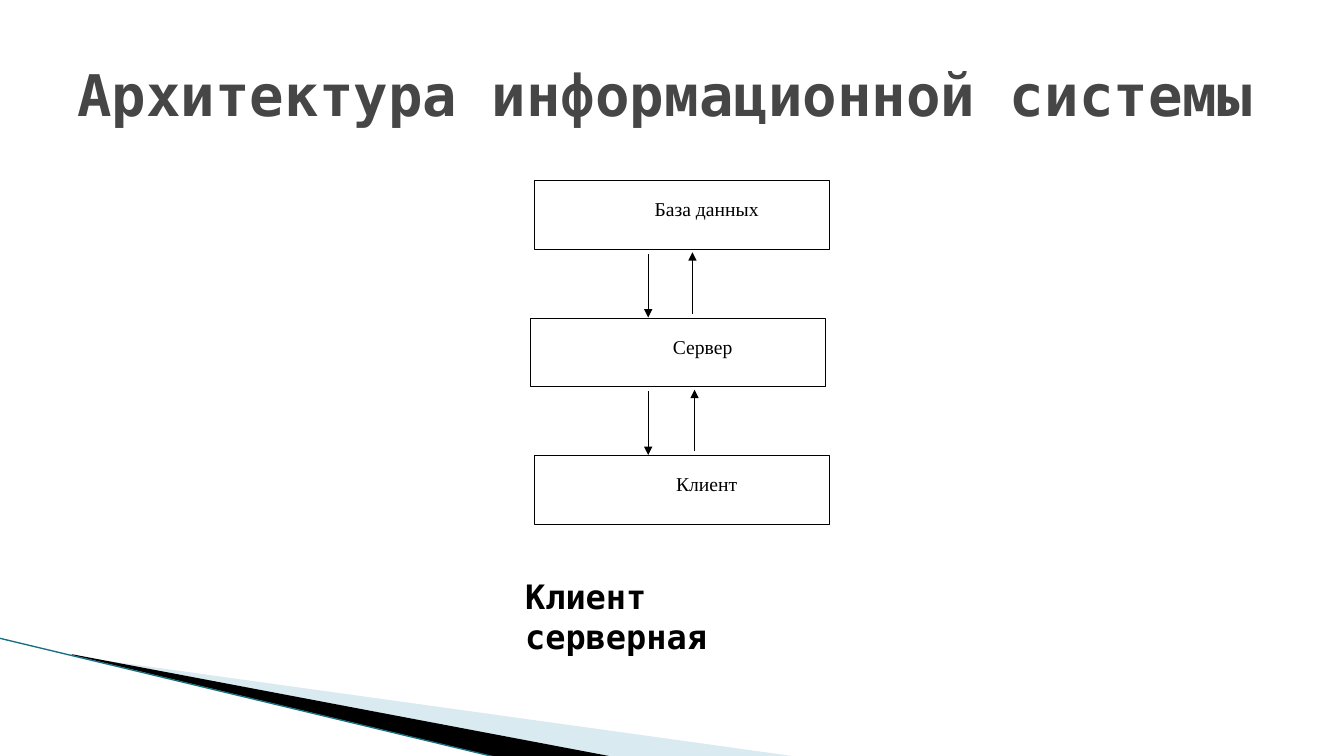
from lxml.etree import SubElement
from pptx import Presentation
from pptx.dml.color import RGBColor
from pptx.enum.shapes import MSO_CONNECTOR as Connector, MSO_SHAPE as Shape
from pptx.enum.text import MSO_ANCHOR as Anchor, PP_ALIGN as Align
from pptx.oxml.ns import qn
from pptx.util import Pt

MONO, SERIF = "DejaVu Sans Mono", "Times New Roman"
BLACK, WHITE, GREY = "000000", "FFFFFF", "464646"
TEAL, PALE_BLUE = "16707F", "A0CBDC"


def colour(value):
    return RGBColor.from_string(value)


class Diagram:
    """Draws the elements of one slide in a shared style."""

    def __init__(self, page):
        self.page = page

    def fill_text(self, frame, text, ink, font, layout):
        frame.word_wrap = True
        para = frame.paragraphs[0]
        for name, value in layout.items():
            setattr(para, name, value)
        span = para.add_run()
        span.text = text
        for name, value in font.items():
            setattr(span.font, name, value)
        span.font.color.rgb = colour(ink)
        return para

    def title(self, text, left, top, width, height):
        box = self.page.shapes.title
        for name, value in dict(left=left, top=top, width=width, height=height).items():
            setattr(box, name, Pt(value))
        box.text_frame.vertical_anchor = Anchor.MIDDLE
        self.fill_text(box.text_frame, text, GREY,
                       dict(name=MONO, size=Pt(41), bold=True), dict(alignment=Align.LEFT))

    def caption(self, text, left, top, width, height):
        box = self.page.shapes.add_textbox(Pt(left), Pt(top), Pt(width), Pt(height))
        self.fill_text(box.text_frame, text, BLACK,
                       dict(name=MONO, size=Pt(24), bold=True), dict(alignment=Align.LEFT))

    def block(self, text, left, top, width, height):
        box = self.page.shapes.add_shape(Shape.RECTANGLE, Pt(left), Pt(top), Pt(width), Pt(height))
        box.shadow.inherit = False
        box.fill.solid()
        box.fill.fore_color.rgb = colour(WHITE)
        box.line.color.rgb = colour(BLACK)
        box.line.width = Pt(0.5)
        box.text_frame.vertical_anchor = Anchor.TOP
        para = self.fill_text(box.text_frame, text, BLACK, dict(name=SERIF, size=Pt(14)),
                              dict(alignment=Align.CENTER, line_spacing=1.5, space_after=Pt(8)))
        para._p.get_or_add_pPr().set("indent", str(Pt(35.4)))

    def line(self, start, end, ink=BLACK, width=0.75, arrow=False):
        link = self.page.shapes.add_connector(
            Connector.STRAIGHT, *(Pt(value) for value in (*start, *end)))
        link.line.color.rgb = colour(ink)
        link.line.width = Pt(width)
        if arrow:
            SubElement(link.line._get_or_add_ln(), qn("a:tailEnd"), type="triangle")
        SubElement(link._element.spPr, qn("a:effectLst"))

    def wedge(self, points, ink, opacity=100):
        first, *others = [(Pt(x), Pt(y)) for x, y in points]
        builder = self.page.shapes.build_freeform(*first)
        builder.add_line_segments(others, close=True)
        wedge = builder.convert_to_shape()
        wedge.shadow.inherit = False
        wedge.fill.solid()
        wedge.fill.fore_color.rgb = colour(ink)
        wedge.line.fill.background()
        if opacity < 100:
            tint = wedge._element.spPr.find(qn("a:solidFill")).find(qn("a:srgbClr"))
            SubElement(tint, qn("a:alpha"), val=str(opacity * 1000))


def main():
    deck = Presentation()
    deck.slide_width, deck.slide_height = Pt(960), Pt(540)
    diagram = Diagram(deck.slides.add_slide(deck.slide_layouts[5]))

    diagram.wedge([(52.6, 468.7), (571, 540.7), (437.8, 540.7), (52.6, 468)], PALE_BLUE, 40)
    diagram.wedge([(51.1, 467.3), (438.5, 540.7), (357.1, 541.4), (51.8, 468)], BLACK)
    diagram.line((-0.7, 455.8), (356.4, 541.4), TEAL, 0.95)
    diagram.title("Архитектура информационной системы", 48, 21.6, 864, 90)

    first_top, pitch = 129, 98.2
    tiers = [("База данных", 381.6), ("Сервер", 378.7), ("Клиент", 381.6)]
    for index, (name, left) in enumerate(tiers):
        diagram.block(name, left, first_top + index * pitch, 211, 49)
    for index, up_x in enumerate((494.6, 496.1)):
        top = first_top + index * pitch
        diagram.line((463, top + 52.4), (463, top + 97.8), arrow=True)
        diagram.line((up_x, top + 95.2), (up_x, top + 51.2), arrow=True)

    diagram.caption("Клиент серверная", 368, 407.5, 237.6, 66)
    deck.save("out.pptx")


if __name__ == "__main__":
    main()
